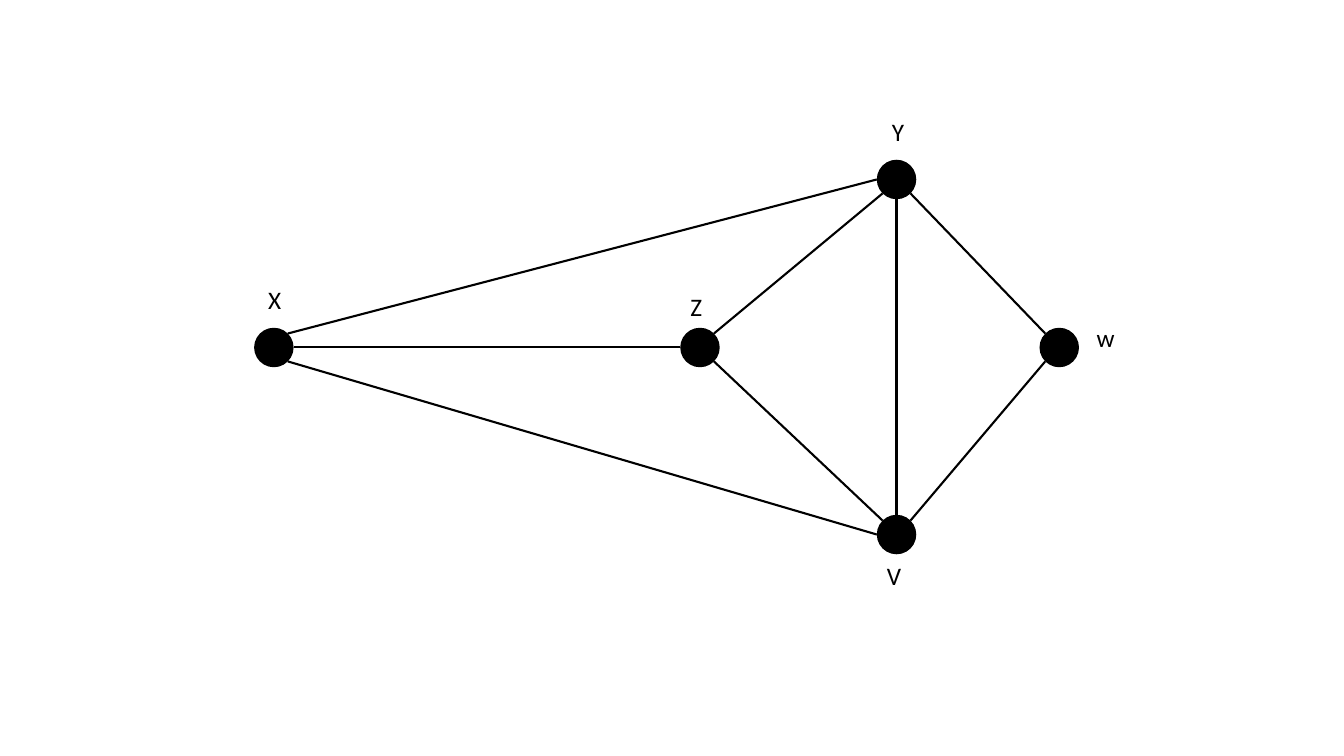
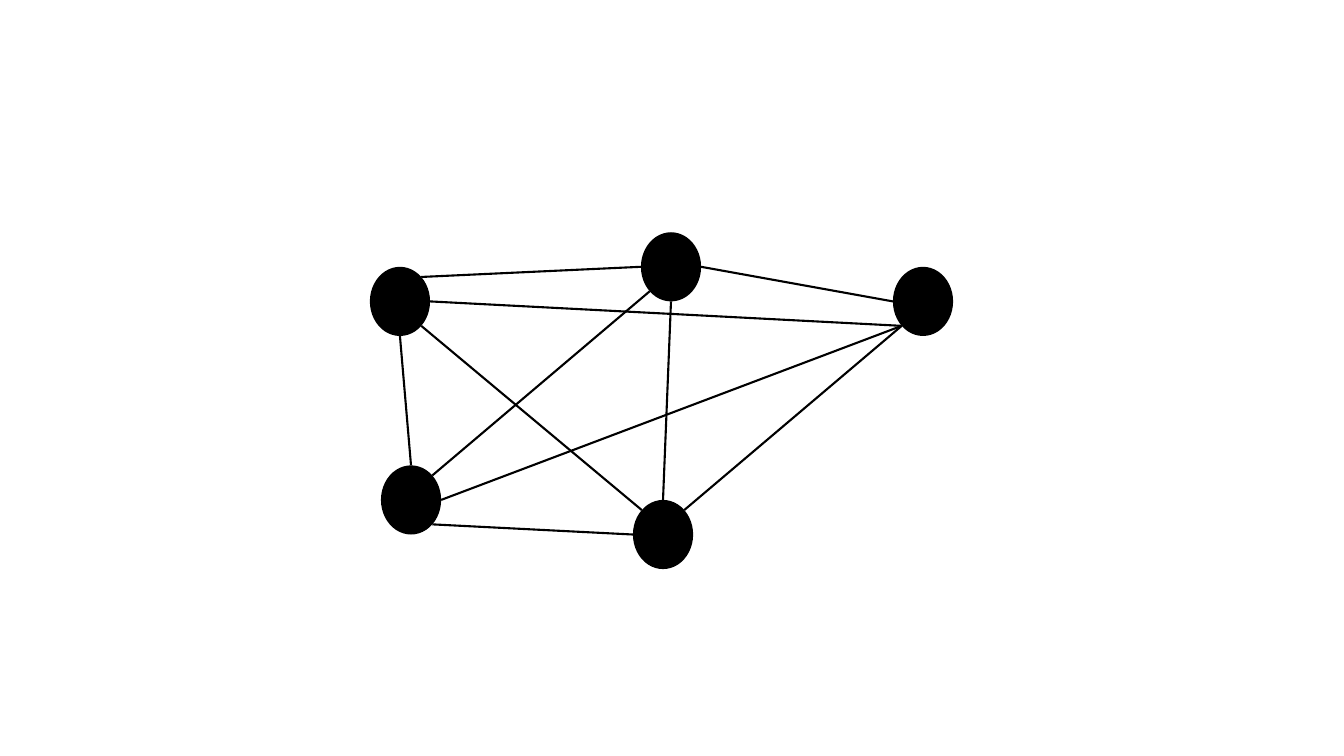
from dataclasses import dataclass
from enum import IntEnum
from math import sqrt

from lxml.etree import SubElement
from pptx import Presentation
from pptx.dml.color import RGBColor
from pptx.enum.shapes import MSO_CONNECTOR, MSO_SHAPE
from pptx.enum.text import MSO_AUTO_SIZE
from pptx.oxml.ns import qn
from pptx.presentation import Presentation as Deck
from pptx.shapes.autoshape import Shape
from pptx.slide import Slide
from pptx.util import Pt


@dataclass(frozen=True)
class Theme:
    ink: RGBColor = RGBColor(0, 0, 0)
    paper: RGBColor = RGBColor(255, 255, 255)
    font: str = "Calibri"
    label_size: float = 18
    line_width: float = 1.5


@dataclass(frozen=True)
class Node:
    name: str
    x: float
    y: float


@dataclass(frozen=True)
class Label:
    text: str
    left: float
    top: float


class Site(IntEnum):
    TOP = 0
    TOP_LEFT = 1
    LEFT = 2
    BOTTOM_LEFT = 3
    BOTTOM = 4
    BOTTOM_RIGHT = 5
    RIGHT = 6
    TOP_RIGHT = 7


@dataclass(frozen=True)
class Edge:
    start: str
    start_site: Site
    end: str
    end_site: Site


THEME = Theme()
DIAGONAL = sqrt(0.5)
DIRECTIONS = {
    Site.TOP: (0, -1),
    Site.TOP_LEFT: (-DIAGONAL, -DIAGONAL),
    Site.LEFT: (-1, 0),
    Site.BOTTOM_LEFT: (-DIAGONAL, DIAGONAL),
    Site.BOTTOM: (0, 1),
    Site.BOTTOM_RIGHT: (DIAGONAL, DIAGONAL),
    Site.RIGHT: (1, 0),
    Site.TOP_RIGHT: (DIAGONAL, -DIAGONAL),
}

LABELLED_SIZE = (28.2, 28.2)
LABELLED_NODES = [
    Node("X", 195.6, 248.2),
    Node("W", 756.6, 248.2),
    Node("Z", 500, 248.2),
    Node("Y", 640.4, 128.2),
    Node("V", 640.4, 381.8),
]
LABELLED_EDGES = [
    Edge("X", Site.TOP_RIGHT, "Y", Site.LEFT),
    Edge("X", Site.RIGHT, "Z", Site.LEFT),
    Edge("X", Site.BOTTOM_RIGHT, "V", Site.LEFT),
    Edge("Z", Site.TOP_RIGHT, "Y", Site.BOTTOM_LEFT),
    Edge("Z", Site.BOTTOM_RIGHT, "V", Site.TOP_LEFT),
    Edge("Y", Site.BOTTOM_RIGHT, "W", Site.TOP_LEFT),
    Edge("V", Site.TOP_RIGHT, "W", Site.BOTTOM_LEFT),
    Edge("Y", Site.BOTTOM, "V", Site.TOP),
]
LABELS = [
    Label("X", 184.4, 199.6),
    Label("Y", 630, 79.4),
    Label("Z", 486, 204.6),
    Label("w", 776.2, 227),
    Label("V", 626.4, 396.6),
]

COMPLETE_SIZE = (43, 49.4)
COMPLETE_NODES = [
    Node("left", 285.7, 215.3),
    Node("right", 659.3, 215.3),
    Node("bottom", 473.6, 381.8),
    Node("top", 479.3, 190.6),
    Node("lower left", 293.6, 357.1),
]
COMPLETE_EDGES = [
    Edge("left", Site.TOP_RIGHT, "top", Site.LEFT),
    Edge("top", Site.RIGHT, "right", Site.LEFT),
    Edge("bottom", Site.TOP_RIGHT, "right", Site.BOTTOM_LEFT),
    Edge("bottom", Site.LEFT, "lower left", Site.BOTTOM_RIGHT),
    Edge("lower left", Site.TOP, "left", Site.BOTTOM),
    Edge("lower left", Site.TOP_RIGHT, "top", Site.BOTTOM_LEFT),
    Edge("lower left", Site.RIGHT, "right", Site.BOTTOM_LEFT),
    Edge("bottom", Site.TOP_LEFT, "left", Site.BOTTOM_RIGHT),
    Edge("right", Site.BOTTOM_LEFT, "left", Site.RIGHT),
    Edge("bottom", Site.TOP, "top", Site.BOTTOM),
]


def add_slide(prs: Deck) -> Slide:
    s = prs.slides.add_slide(prs.slide_layouts[6])
    s.background.fill.solid()
    s.background.fill.fore_color.rgb = THEME.paper
    return s


def add_node(shapes, node: Node, size: tuple[float, float]) -> Shape:
    w, h = size
    sp = shapes.add_shape(
        MSO_SHAPE.OVAL, Pt(node.x - w / 2), Pt(node.y - h / 2), Pt(w), Pt(h)
    )
    sp.shadow.inherit = False
    sp.fill.solid()
    sp.fill.fore_color.rgb = THEME.ink
    sp.line.fill.background()
    return sp


def site_point(sp: Shape, site: Site) -> tuple[int, int]:
    dx, dy = DIRECTIONS[site]
    return (
        round(sp.left + sp.width * (1 + dx) / 2),
        round(sp.top + sp.height * (1 + dy) / 2),
    )


def add_edge(shapes, edge: Edge, ovals: dict[str, Shape]) -> None:
    start, end = ovals[edge.start], ovals[edge.end]
    cxn = shapes.add_connector(
        MSO_CONNECTOR.STRAIGHT,
        *site_point(start, edge.start_site),
        *site_point(end, edge.end_site),
    )
    cxn.line.color.rgb = THEME.ink
    cxn.line.width = Pt(THEME.line_width)
    SubElement(cxn.element.spPr, qn("a:effectLst"))
    joints = cxn.element.find(".//" + qn("p:cNvCxnSpPr"))
    for tag, sp, site in (
        ("a:stCxn", start, edge.start_site),
        ("a:endCxn", end, edge.end_site),
    ):
        SubElement(joints, qn(tag), id=str(sp.shape_id), idx=str(site.value))


def draw_graph(
    shapes, nodes: list[Node], edges: list[Edge], size: tuple[float, float]
) -> None:
    ovals = {node.name: add_node(shapes, node, size) for node in nodes}
    for edge in edges:
        add_edge(shapes, edge, ovals)


def add_text(
    shapes,
    text: str,
    *,
    left: float,
    top: float,
    width: float = 28.2,
    height: float = 29,
    size: float = THEME.label_size,
    color: RGBColor = THEME.ink,
) -> None:
    tf = shapes.add_textbox(Pt(left), Pt(top), Pt(width), Pt(height)).text_frame
    tf.word_wrap = True
    tf.auto_size = MSO_AUTO_SIZE.SHAPE_TO_FIT_TEXT
    r = tf.paragraphs[0].add_run()
    r.text = text
    r.font.name = THEME.font
    r.font.size = Pt(size)
    r.font.color.rgb = color


def main() -> None:
    prs = Presentation()
    prs.slide_width, prs.slide_height = Pt(960), Pt(540)

    s = add_slide(prs)
    draw_graph(s.shapes, LABELLED_NODES, LABELLED_EDGES, LABELLED_SIZE)
    for label in LABELS:
        add_text(s.shapes, label.text, left=label.left, top=label.top)

    s = add_slide(prs)
    group = s.shapes.add_group_shape()
    draw_graph(group.shapes, COMPLETE_NODES, COMPLETE_EDGES, COMPLETE_SIZE)

    prs.save("out.pptx")


if __name__ == "__main__":
    main()
